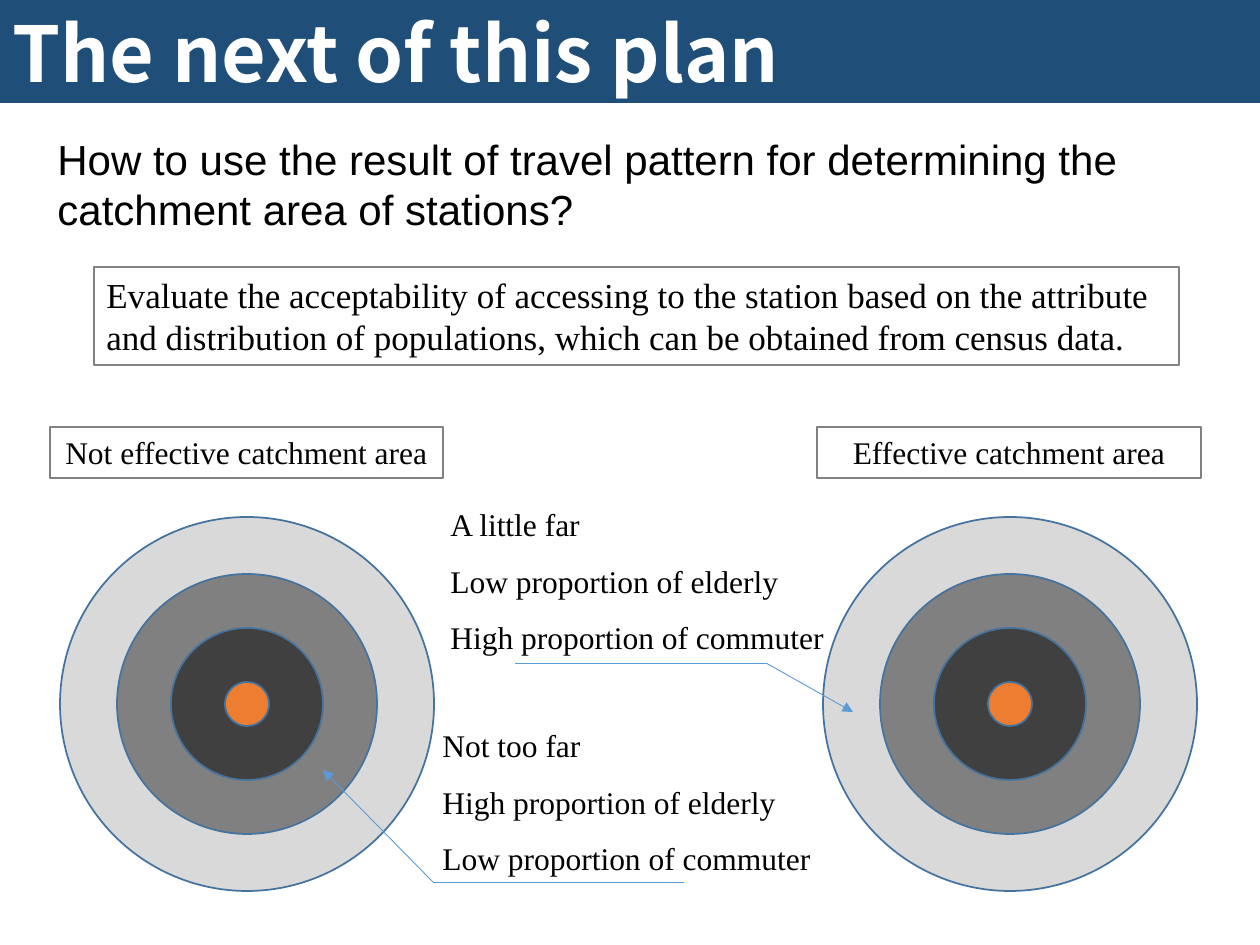
from lxml.etree import SubElement
from pptx import Presentation
from pptx.dml.color import RGBColor
from pptx.enum.shapes import MSO_CONNECTOR, MSO_SHAPE
from pptx.enum.text import MSO_ANCHOR as Anchor, PP_ALIGN as Align
from pptx.oxml.ns import qn
from pptx.util import Pt

EMU_PER_PX = 914400 / 126
BLACK = RGBColor(0x00, 0x00, 0x00)
WHITE = RGBColor(0xFF, 0xFF, 0xFF)
NAVY = RGBColor(0x1F, 0x4E, 0x79)
RING_LINE = RGBColor(0x43, 0x73, 0x9E)
POINTER_BLUE = RGBColor(0x5B, 0x9B, 0xD5)
GRAY = RGBColor(0x80, 0x80, 0x80)
LIGHT_GRAY = RGBColor(0xD9, 0xD9, 0xD9)
DARK_GRAY = RGBColor(0x40, 0x40, 0x40)
ORANGE = RGBColor(0xED, 0x7D, 0x31)
SERIF, SANS, HEADING = "Times New Roman", "Arial", "Noto Sans CJK SC"

RINGS = [(187, LIGHT_GRAY), (130, GRAY), (76, DARK_GRAY), (22, ORANGE)]
RING_CENTERS = [(247, 704), (1010, 704)]
LABELS = [
    ("Not effective catchment area", (50, 427, 393, 51)),
    ("Effective catchment area", (817, 427, 384, 51)),
]
NOTES = [
    (["Not too far", "High proportion of elderly", "Low proportion of commuter"],
     (430, 701, 425, 179)),
    (["A little far", "Low proportion of elderly", "High proportion of commuter"],
     (438, 480, 425, 184)),
]
POINTERS = [
    ((433, 882), (323, 770), (684, 882)),
    ((766, 663), (853, 712), (515, 663)),
]


def px(*lengths):
    return [round(length * EMU_PER_PX) for length in lengths]


class SlideBuilder:
    """Hold the slide and its style, and add each kind of element."""

    def __init__(self, slide):
        self.slide = slide

    def fill_text(self, shape, lines, size, font=SERIF, color=BLACK, bold=False,
                  align=Align.LEFT, spacing=None, anchor=Anchor.TOP):
        frame = shape.text_frame
        frame.word_wrap = True
        frame.vertical_anchor = anchor
        for index, line in enumerate(lines):
            paragraph = frame.add_paragraph() if index else frame.paragraphs[0]
            paragraph.alignment = align
            paragraph.line_spacing = spacing
            run = paragraph.add_run()
            run.text = line
            run.font.size = Pt(size)
            run.font.name = font
            run.font.bold = bold
            run.font.color.rgb = color

    def title(self, text, box):
        shape = self.slide.shapes.title
        shape.left, shape.top, shape.width, shape.height = px(*box)
        shape.fill.solid()
        shape.fill.fore_color.rgb = NAVY
        self.fill_text(shape, [text], 44, HEADING, WHITE, True, anchor=Anchor.MIDDLE)

    def text(self, lines, box, size, **style):
        self.fill_text(self.slide.shapes.add_textbox(*px(*box)), lines, size, **style)

    def shape(self, kind, box, line, width, fill=None):
        shape = self.slide.shapes.add_shape(kind, *px(*box))
        shape.shadow.inherit = False
        if fill is None:
            shape.fill.background()
        else:
            shape.fill.solid()
            shape.fill.fore_color.rgb = fill
        shape.line.color.rgb = line
        shape.line.width = Pt(width)
        return shape

    def framed_text(self, text, box, size, align=Align.LEFT):
        shape = self.shape(MSO_SHAPE.RECTANGLE, box, GRAY, 0.75)
        self.fill_text(shape, [text], size, align=align)

    def target(self, center_x, center_y):
        for radius, fill in RINGS:
            box = (center_x - radius, center_y - radius, 2 * radius, 2 * radius)
            self.shape(MSO_SHAPE.OVAL, box, RING_LINE, 1, fill)

    def line(self, start, end, arrow=False):
        connector = self.slide.shapes.add_connector(
            MSO_CONNECTOR.STRAIGHT, *px(*start, *end))
        connector.line.color.rgb = POINTER_BLUE
        connector.line.width = Pt(0.5)
        properties = connector._element.spPr
        if arrow:
            SubElement(properties.find(qn("a:ln")), qn("a:tailEnd"), type="triangle")
        SubElement(properties, qn("a:effectLst"))


def main():
    presentation = Presentation()
    presentation.slide_width, presentation.slide_height = px(1260, 945)
    builder = SlideBuilder(presentation.slides.add_slide(presentation.slide_layouts[5]))

    builder.title("The next of this plan", (0, 0, 1260, 103))
    for lines, box in NOTES:
        builder.text(lines, box, 18, spacing=1.5)
    builder.text(["How to use the result of travel pattern for determining the "
                  "catchment area of stations?"], (45, 127, 1101, 115), 24, font=SANS)
    builder.framed_text("Evaluate the acceptability of accessing to the station based on "
                        "the attribute and distribution of populations, which can be "
                        "obtained from census data.", (94, 267, 1085, 98), 20)
    for center in RING_CENTERS:
        builder.target(*center)
    for corner, tip, underline_end in POINTERS:
        builder.line(corner, tip, arrow=True)
        builder.line(corner, underline_end)
    for text, box in LABELS:
        builder.framed_text(text, box, 18, Align.CENTER)

    presentation.save("out.pptx")


if __name__ == "__main__":
    main()
